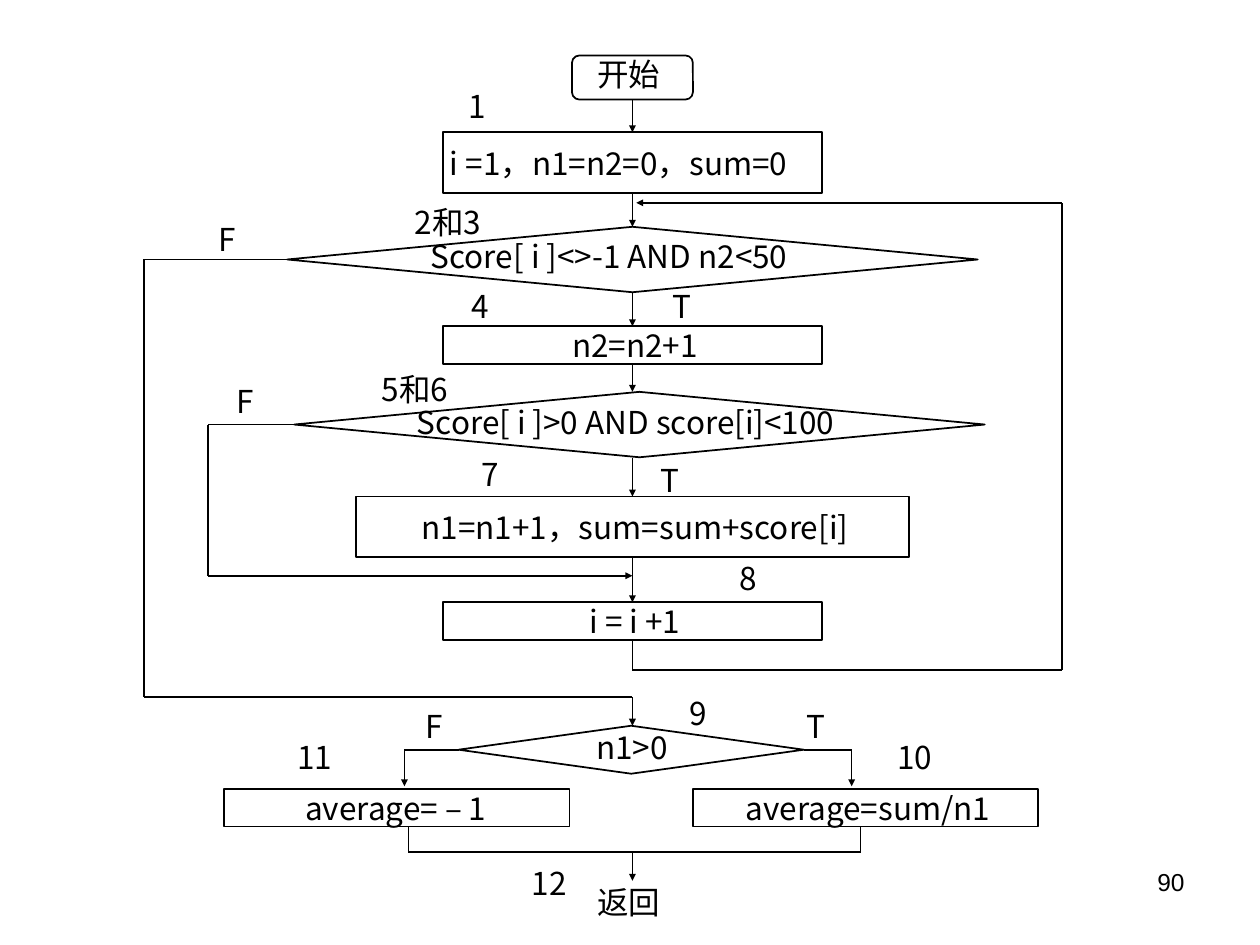
from lxml.etree import SubElement
from pptx import Presentation
from pptx.dml.color import RGBColor
from pptx.enum.shapes import MSO_CONNECTOR, MSO_SHAPE as SHAPE
from pptx.enum.text import MSO_ANCHOR as ANCHOR, PP_ALIGN as ALIGN
from pptx.oxml.ns import qn
from pptx.util import Pt

THEME = {
    "ink": RGBColor(0, 0, 0),
    "font": "Noto Sans CJK SC",
    "page_font": "Arial",
    "size": 18,
    "page_size": 14,
    "outline": 1,
    "thin": 0.75,
}
SPINE = 361.4
LONG_RUN = Pt(60)

INIT = {"anchor": ANCHOR.MIDDLE, "align": ALIGN.LEFT, "insets": (0, 0, 0, 0)}
MID = {"anchor": ANCHOR.MIDDLE}
NODES = {
    "start": (SHAPE.FLOWCHART_ALTERNATE_PROCESS, SPINE, 31.7, 69.1, 25.2, "", {}),
    "init": (SHAPE.RECTANGLE, SPINE, 75.6, 216.7, 34.6, " i =1，n1=n2=0，sum=0", INIT),
    "loop": (SHAPE.FLOWCHART_DECISION, SPINE, 129.6, 394.6, 37.4, "", {}),
    "count": (SHAPE.RECTANGLE, SPINE, 186.5, 216.7, 21.6, "n2=n2+1", {}),
    "valid": (SHAPE.FLOWCHART_DECISION, 365.4, 223.9, 394.6, 37.4, "", {}),
    "add": (SHAPE.RECTANGLE, SPINE, 283.7, 316.1, 34.6, "n1=n1+1，sum=sum+score[i]", MID),
    "next": (SHAPE.RECTANGLE, SPINE, 344.2, 216.7, 21.6, "i = i +1", {}),
    "any": (SHAPE.FLOWCHART_DECISION, 360.7, 414.7, 197.3, 27.4, "", {}),
    "mean": (SHAPE.RECTANGLE, 494.6, 450.7, 197.3, 21.6, "average=sum/n1", {}),
    "none": (SHAPE.RECTANGLE, 226.8, 450.7, 197.3, 21.6, "average= – 1 ", {}),
}

LABELS = [
    ("开始", 341.3, 31.7, 70.6), ("返回", 341.3, 504.7, 70.6),
    ("Score[ i ]<>-1 AND n2<50", 246.2, 135.4, 291.6),
    ("Score[ i ]>0 AND score[i]<100", 238.3, 230.4, 335.5),
    ("F", 124.6, 126, 40), ("F", 243.4, 403.9, 40), ("F", 135.4, 218.2, 40),
    ("T", 384.5, 164.2, 40), ("T", 377.3, 263.5, 40), ("T", 460.8, 403.9, 40),
    ("1", 267.8, 49.7, 40), ("2和3", 236.9, 115.9, 84), ("4", 269.3, 164.2, 40),
    ("5和6", 218.2, 211.7, 55.4), ("7", 275, 259.9, 40), ("8", 422.6, 319.7, 40),
    ("9", 393.8, 396.7, 40), ("10", 512.6, 421.9, 40), ("11", 169.9, 421.9, 40),
    ("12", 303.8, 493.9, 40),
]

ARROW_PATHS = [
    [("start", 2), ("init", 0)],
    [("init", 2), ("loop", 0)],
    [("loop", 2), ("count", 0)],
    [("count", 2), (SPINE, 223.9)],
    [(SPINE, 261.7), ("add", 0)],
    [("add", 2), ("next", 0)],
    [("next", 2), (SPINE, 383), (607, 383), (607, 115.9), (363.6, 115.9)],
    [("valid", 1), (118.8, 242.6), (118.8, 329), (SPINE, 329)],
    [("loop", 1), (82.1, 148.3), (82.1, 398.2), (SPINE, 398.2), (SPINE, 414.7)],
    [("any", 1), (231.1, 428.4), (231.1, 449.3)],
    [("any", 3), (486.7, 428.4), (486.7, 449.3)],
    [(SPINE, 486.7), (SPINE, 503.3)],
]
PLAIN_PATHS = [[(233.3, 472.3), (233.3, 486.7), (491.8, 486.7), (491.8, 472.3)]]


def write(s, text, font=THEME["font"], size=THEME["size"], align=ALIGN.LEFT,
          anchor=ANCHOR.TOP, insets=(0, 0, 0, 0)):
    tf = s.text_frame
    tf.word_wrap = True
    tf.vertical_anchor = anchor
    tf.margin_left, tf.margin_top, tf.margin_right, tf.margin_bottom = map(Pt, insets)
    p = tf.paragraphs[0]
    p.alignment = align
    r = p.add_run()
    r.text = text
    r.font.size = Pt(size)
    r.font.name = font
    r.font.color.rgb = THEME["ink"]
    SubElement(r.font._element, qn("a:ea"), typeface=font)


def add_node(slide, preset, cx, top, width, height, text, fmt):
    s = slide.shapes.add_shape(preset, Pt(cx - width / 2), Pt(top), Pt(width), Pt(height))
    s.shadow.inherit = False
    s.fill.background()
    s.line.color.rgb = THEME["ink"]
    s.line.width = Pt(THEME["outline"])
    if text:
        write(s, text, **{"align": ALIGN.CENTER, "insets": (2.9, 0, 0, 0), **fmt})
    return s


def add_label(slide, text, left, top, width, height=19.4, **fmt):
    s = slide.shapes.add_textbox(Pt(left), Pt(top), Pt(width), Pt(height))
    write(s, text, **fmt)


def add_segment(slide, nodes, begin, end, arrow):
    joined = [isinstance(e[0], str) for e in (begin, end)]
    points = [(0, 0) if j else e for j, e in zip(joined, (begin, end))]
    c = slide.shapes.add_connector(MSO_CONNECTOR.STRAIGHT, *(Pt(v) for xy in points for v in xy))
    for j, (name, site), join in zip(joined, (begin, end), (c.begin_connect, c.end_connect)):
        if j:
            join(nodes[name], site)
    thin = c.height > c.width and c.height < LONG_RUN
    c.line.color.rgb = THEME["ink"]
    c.line.width = Pt(THEME["thin"] if thin else THEME["outline"])
    if arrow:
        SubElement(c.line._get_or_add_ln(), qn("a:tailEnd"), type="triangle", w="sm", len="sm")
    SubElement(c._element.spPr, qn("a:effectLst"))


def add_path(slide, nodes, path, arrow):
    last = len(path) - 2
    for i, (begin, end) in enumerate(zip(path, path[1:])):
        add_segment(slide, nodes, begin, end, arrow and i == last)


def main():
    prs = Presentation()
    prs.slide_width, prs.slide_height = Pt(720), Pt(540)
    slide = prs.slides.add_slide(prs.slide_layouts[6])
    nodes = {name: add_node(slide, *node) for name, node in NODES.items()}
    for paths, arrow in ((ARROW_PATHS, True), (PLAIN_PATHS, False)):
        for path in paths:
            add_path(slide, nodes, path, arrow)
    for label in LABELS:
        add_label(slide, *label)
    add_label(slide, "n1>0", 311.8, 416.2, 98.6, 23.8, align=ALIGN.CENTER)
    add_label(slide, "90", 516.2, 491.8, 167.8, 37.4, font=THEME["page_font"],
              size=THEME["page_size"], align=ALIGN.RIGHT, insets=(7.2, 3.6, 7.2, 3.6))
    prs.save("out.pptx")


if __name__ == "__main__":
    main()
